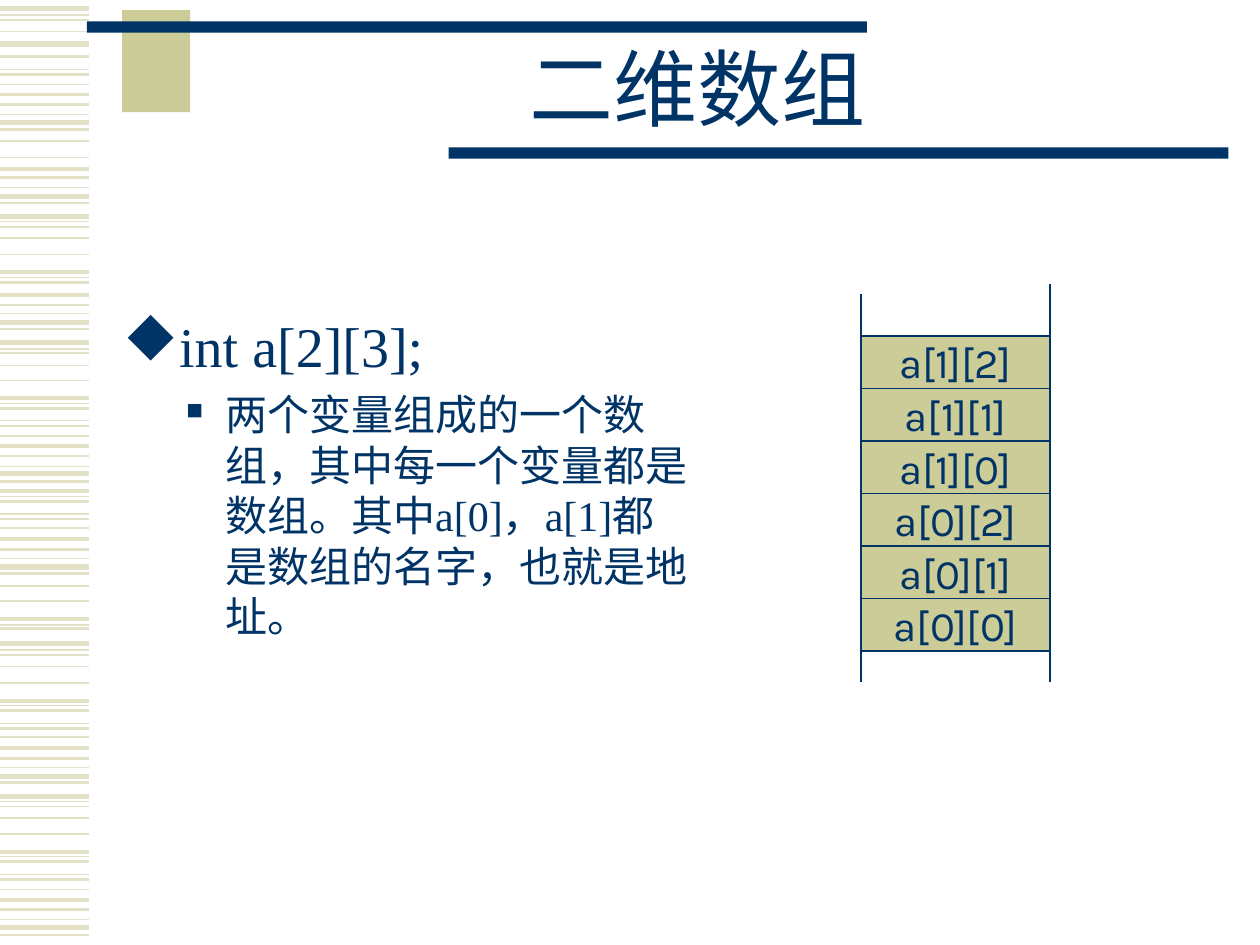
from dataclasses import dataclass

from lxml import etree
from pptx import Presentation
from pptx.dml.color import RGBColor
from pptx.enum.shapes import MSO_CONNECTOR, MSO_SHAPE
from pptx.enum.text import MSO_ANCHOR, MSO_AUTO_SIZE, PP_ALIGN
from pptx.oxml.ns import qn
from pptx.util import Inches, Pt

STRAIGHT = MSO_CONNECTOR.STRAIGHT
RECTANGLE = MSO_SHAPE.RECTANGLE
MIDDLE, TOP = MSO_ANCHOR.MIDDLE, MSO_ANCHOR.TOP
CENTER, LEFT = PP_ALIGN.CENTER, PP_ALIGN.LEFT
FIXED = MSO_AUTO_SIZE.NONE


@dataclass(frozen=True)
class Theme:
    navy: str = "003366"
    khaki: str = "CCCC99"
    pale: str = "E3E2C7"
    serif: str = "Times New Roman"
    sans: str = "Karla"
    symbols: str = "Wingdings"
    title: int = 48
    statement: int = 32
    detail: int = 24
    hairline: float = 0.75


THEME = Theme()
DIAMOND, SQUARE = "u", "n"

TITLE = "二维数组"
POINTS = [
    dict(text="int a[2][3];", size=THEME.statement, before=8,
         indent=(0.38, -0.38), bullet=DIAMOND, bullet_share=100),
    dict(text="两个变量组成的一个数组，其中每一个变量都是数组。其中a[0]，a[1]都是数组的名字，也就是地址。",
         size=THEME.detail, before=6, level=1,
         indent=(0.81, -0.31), bullet=SQUARE, bullet_share=55),
]
ELEMENTS = [f"a[{row}][{column}]" for row in (1, 0) for column in (2, 1, 0)]

STRIPES_BY_WEIGHT = {
    0.75: [0.12, 0.55, 0.91, 1.49, 1.76, 2.2, 2.49, 2.77, 3.2, 3.34, 3.7, 3.94, 4.08,
           4.43, 4.96, 5.16, 5.6, 5.74, 6.09, 6.36, 6.8, 6.94, 7.3],
    1: [0.16, 0.25, 0.67, 1.12, 1.25, 1.8, 1.89, 2.02, 2.8, 2.9, 3.02, 3.46, 4.19,
        4.65, 4.77, 5.2, 5.29, 5.42, 5.85, 6.4, 6.49, 6.62, 7.06],
    1.5: [0.45, 0.59, 0.83, 1.03, 1.41, 1.61, 2.24, 2.42, 2.61, 3.24, 3.38, 3.62, 3.82,
          3.98, 4.12, 4.36, 4.55, 4.99, 5.64, 5.78, 6.02, 6.21, 6.84, 6.98, 7.22, 7.42],
    2.25: [0.75, 1.34, 2.16, 2.34, 3.16, 3.54, 3.9, 4.28, 4.91, 5.56, 5.94, 6.76, 7.14],
    3: [0.07, 0.35, 0.97, 1.56, 1.72, 2.56, 2.72, 3.76, 4.5, 5.11, 6.16, 6.32, 7.36],
}
STRIPE_END = 0.71

HEADER_BLOCKS = [
    ((0.97, 0.08, 0.54, 0.81), THEME.khaki),
    ((0.69, 0.17, 6.19, 0.09), THEME.navy),
    ((3.56, 1.17, 6.19, 0.09), THEME.navy),
]
TITLE_BOX = (1.5, 0.25, 8.07, 1)
POINTS_BOX = (0.88, 2.42, 4.73, 4.24)

GRID = 1 / 12
STACK_LEFT, STACK_TOP = 82 * GRID, 32 * GRID
CELL_WIDTH, CELL_HEIGHT = 18 * GRID, 5 * GRID
RAIL_TOPS, RAIL_BOTTOM = (28 * GRID, 27 * GRID), 65 * GRID


def color(value):
    return RGBColor.from_string(value)


def inches(lengths):
    return [Inches(length) for length in lengths]


def write(paragraph, text, size, font=THEME.serif, align=LEFT, before=0, level=0,
          spacing=1.0, indent=None, bullet=None, bullet_share=100):
    run = paragraph.add_run()
    run.text = text
    run.font.size = Pt(size)
    run.font.name = font
    run.font.color.rgb = color(THEME.navy)
    paragraph.alignment = align
    paragraph.level = level
    paragraph.space_before = Pt(before)
    paragraph.line_spacing = spacing
    if bullet:
        properties = paragraph._p.get_or_add_pPr()
        margin, first_line = inches(indent)
        properties.set("marL", str(margin))
        properties.set("indent", str(first_line))
        properties.set("hangingPunct", "0")
        bullet_color = etree.SubElement(properties, qn("a:buClr"))
        etree.SubElement(bullet_color, qn("a:srgbClr"), val=THEME.navy)
        etree.SubElement(properties, qn("a:buSzPct"), val=str(bullet_share * 1000))
        etree.SubElement(properties, qn("a:buFont"), typeface=THEME.symbols, charset="2")
        etree.SubElement(properties, qn("a:buChar"), char=bullet)


def prepare(frame, anchor, wrap):
    frame.auto_size = FIXED
    frame.word_wrap = wrap
    frame.vertical_anchor = anchor
    return frame


def add_rule(shapes, start, end, stroke, weight):
    rule = shapes.add_connector(STRAIGHT, *inches(start + end))
    rule.line.color.rgb = color(stroke)
    rule.line.width = Pt(weight)
    etree.SubElement(rule._element.spPr, qn("a:effectLst"))


def add_block(shapes, box, fill, stroke=None):
    block = shapes.add_shape(RECTANGLE, *inches(box))
    block.shadow.inherit = False
    block.fill.solid()
    block.fill.fore_color.rgb = color(fill)
    if stroke:
        block.line.color.rgb = color(stroke)
        block.line.width = Pt(THEME.hairline)
    else:
        block.line.fill.background()
    return block


def add_header(slide):
    stripes = slide.shapes.add_group_shape().shapes
    for weight, heights in STRIPES_BY_WEIGHT.items():
        for y in heights:
            add_rule(stripes, (0, y), (STRIPE_END, y), THEME.pale, weight)
    for box, fill in HEADER_BLOCKS:
        add_block(slide.shapes, box, fill)
    heading = slide.shapes.title
    heading.left, heading.top, heading.width, heading.height = inches(TITLE_BOX)
    frame = prepare(heading.text_frame, MIDDLE, True)
    write(frame.paragraphs[0], TITLE, THEME.title, align=CENTER, spacing=0.85)


def add_points(slide):
    points = slide.shapes.add_textbox(*inches(POINTS_BOX))
    frame = prepare(points.text_frame, TOP, True)
    for index, point in enumerate(POINTS):
        paragraph = frame.add_paragraph() if index else frame.paragraphs[0]
        write(paragraph, **point)


def add_memory_stack(slide):
    for row, element in enumerate(ELEMENTS):
        box = (STACK_LEFT, STACK_TOP + row * CELL_HEIGHT, CELL_WIDTH, CELL_HEIGHT)
        cell = add_block(slide.shapes, box, THEME.khaki, THEME.navy)
        frame = prepare(cell.text_frame, MIDDLE, False)
        write(frame.paragraphs[0], element, THEME.detail, font=THEME.sans, align=CENTER)
    for side, top in enumerate(RAIL_TOPS):
        x = STACK_LEFT + side * CELL_WIDTH
        add_rule(slide.shapes, (x, top), (x, RAIL_BOTTOM), THEME.navy, THEME.hairline)


def main():
    deck = Presentation()
    deck.slide_width, deck.slide_height = inches((10, 7.5))
    slide = deck.slides.add_slide(deck.slide_layouts.get_by_name("Title Only"))
    add_header(slide)
    add_points(slide)
    add_memory_stack(slide)
    deck.save("out.pptx")


if __name__ == "__main__":
    main()
